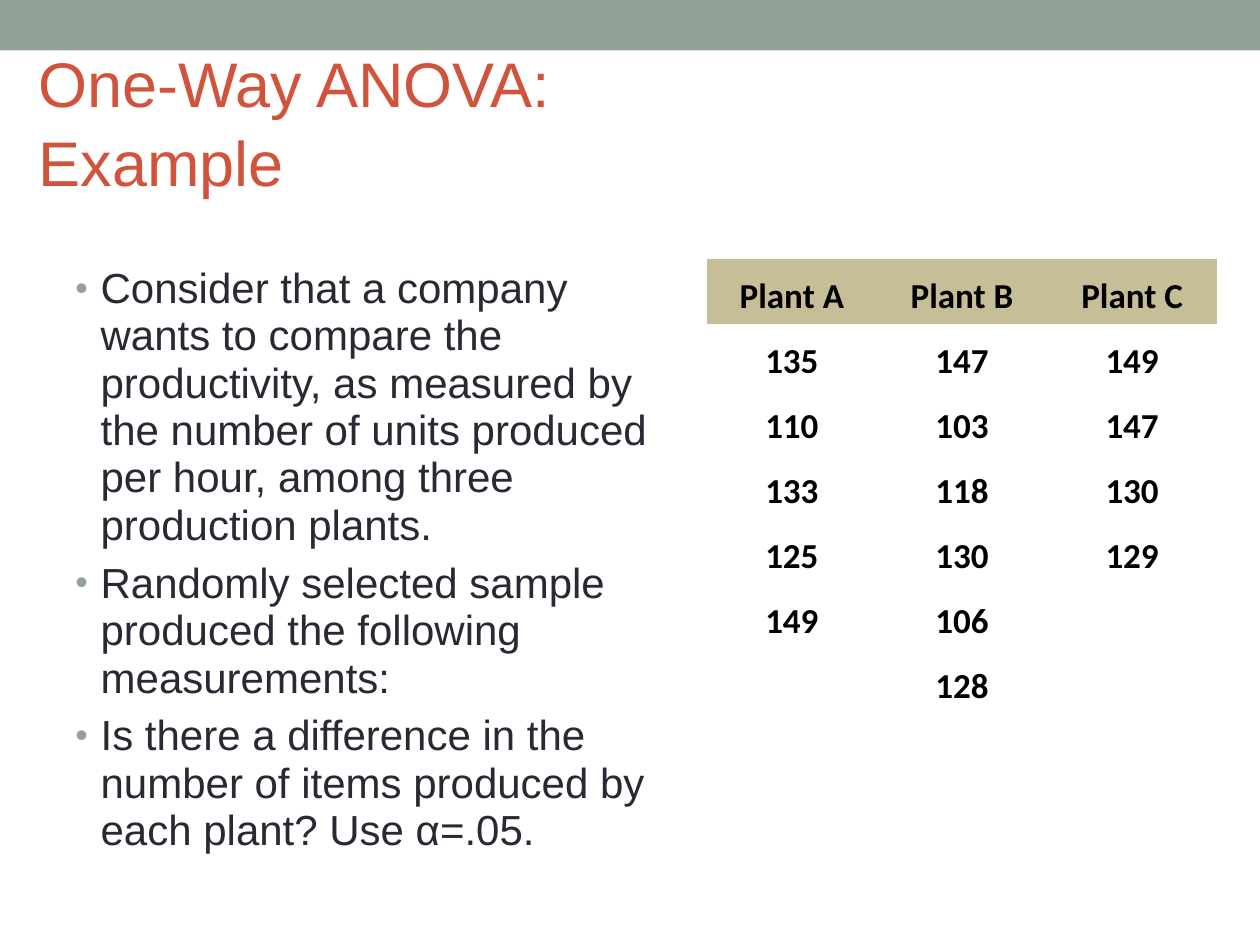
from dataclasses import dataclass

from lxml import etree
from pptx import Presentation
from pptx.dml.color import RGBColor
from pptx.enum.shapes import MSO_SHAPE
from pptx.enum.text import MSO_ANCHOR, MSO_AUTO_SIZE, PP_ALIGN
from pptx.oxml.ns import qn
from pptx.util import Cm, Pt

RECT = MSO_SHAPE.RECTANGLE
MIDDLE, BOTTOM = MSO_ANCHOR.MIDDLE, MSO_ANCHOR.BOTTOM
LEFT, CENTER = PP_ALIGN.LEFT, PP_ALIGN.CENTER
FIXED = MSO_AUTO_SIZE.NONE
PLAIN_STYLE = "{2D5ABB26-0587-4C30-8999-92F81FD0307C}"


@dataclass(frozen=True)
class Theme:
    sage: str = "93A299"
    rust: str = "D2533C"
    ink: str = "292934"
    sand: str = "C5BE97"
    white: str = "FFFFFF"
    black: str = "000000"
    head: int = 36
    body: int = 24
    cell: int = 20
    sans: str = "Arial"
    grid: str = "Calibri"


@dataclass(frozen=True)
class Box:
    left: float
    top: float
    width: float
    height: float

    def lengths(self) -> tuple:
        return Cm(self.left), Cm(self.top), Cm(self.width), Cm(self.height)


THEME = Theme()
BAR = Box(0, 0, 25.4, 1.02)
TITLE = Box(0.53, 1.04, 24.33, 2.77)
BODY = Box(1.27, 5.23, 12.09, 12.75)
TABLE = Box(14.25, 5.23, 10.29, 9.17)

POINTS = (
    "Consider that a company wants to compare the productivity, as measured by "
    "the number of units produced per hour, among three production plants.",
    "Randomly selected sample produced the following measurements:",
    "Is there a difference in the number of items produced by each plant? Use α=.05.",
)
PLANTS = {
    "Plant A": (135, 110, 133, 125, 149),
    "Plant B": (147, 103, 118, 130, 106, 128),
    "Plant C": (149, 147, 130, 129),
}


def style(font, face: str, size: int, color: str, bold: bool = False) -> None:
    font.name, font.size, font.bold = face, Pt(size), bold
    font.color.rgb = RGBColor.from_string(color)


def paint(fill, color: str) -> None:
    fill.solid()
    fill.fore_color.rgb = RGBColor.from_string(color)


def draw_bar(slide) -> None:
    bar = slide.shapes.add_shape(RECT, *BAR.lengths())
    bar.shadow.inherit = False
    paint(bar.fill, THEME.sage)
    bar.line.fill.background()


def draw_title(slide) -> None:
    title = slide.shapes.title
    title.left, title.top, title.width, title.height = TITLE.lengths()
    frame = title.text_frame
    frame.text = "One-Way ANOVA:\vExample"
    frame.auto_size = FIXED
    frame.vertical_anchor = MIDDLE
    para = frame.paragraphs[0]
    para.alignment = LEFT
    para.line_spacing = 1.04
    for run in para.runs:
        style(run.font, THEME.sans, THEME.head, THEME.rust)


def add_bullet(para) -> None:
    props = para._p.get_or_add_pPr()
    props.set("marL", str(Cm(0.51)))
    props.set("indent", str(Cm(-0.51)))
    color = etree.SubElement(props, qn("a:buClr"))
    etree.SubElement(color, qn("a:srgbClr"), val=THEME.sage)
    etree.SubElement(props, qn("a:buSzPct"), val="85000")
    etree.SubElement(props, qn("a:buFont"), typeface=THEME.sans)
    etree.SubElement(props, qn("a:buChar"), char="•")


def draw_body(slide) -> None:
    frame = slide.shapes.add_textbox(*BODY.lengths()).text_frame
    frame.word_wrap = True
    frame.text = "\n".join(POINTS)
    for index, para in enumerate(frame.paragraphs):
        add_bullet(para)
        para.line_spacing = 0.94
        para.space_before = Pt(6 if index else 0)
        style(para.runs[0].font, THEME.sans, THEME.body, THEME.ink)


def fill_cell(cell, text: str, color: str) -> None:
    paint(cell.fill, color)
    cell.vertical_anchor = BOTTOM
    cell.margin_left = cell.margin_right = Cm(0.03)
    cell.margin_top = cell.margin_bottom = Cm(0.13)
    cell.text_frame.text = text
    para = cell.text_frame.paragraphs[0]
    para.alignment = CENTER
    style(para.font, THEME.grid, THEME.cell, THEME.black, True)
    for run in para.runs:
        style(run.font, THEME.grid, THEME.cell, THEME.black, True)


def draw_table(slide) -> None:
    """Fill one column per plant, leaving short columns blank at the foot."""
    count = 1 + max(map(len, PLANTS.values()))
    table = slide.shapes.add_table(count, len(PLANTS), *TABLE.lengths()).table
    table.horz_banding = False
    table._tbl.tblPr.find(qn("a:tableStyleId")).text = PLAIN_STYLE
    for col, (plant, units) in enumerate(PLANTS.items()):
        texts = [plant, *map(str, units)]
        texts += [""] * (count - len(texts))
        for row, text in enumerate(texts):
            color = THEME.white if row else THEME.sand
            fill_cell(table.cell(row, col), text, color)


def main() -> None:
    deck = Presentation()
    deck.slide_width, deck.slide_height = Cm(25.4), Cm(19.05)
    slide = deck.slides.add_slide(deck.slide_layouts[5])
    paint(slide.background.fill, THEME.white)
    draw_bar(slide)
    draw_title(slide)
    draw_body(slide)
    draw_table(slide)
    deck.save("out.pptx")


if __name__ == "__main__":
    main()
